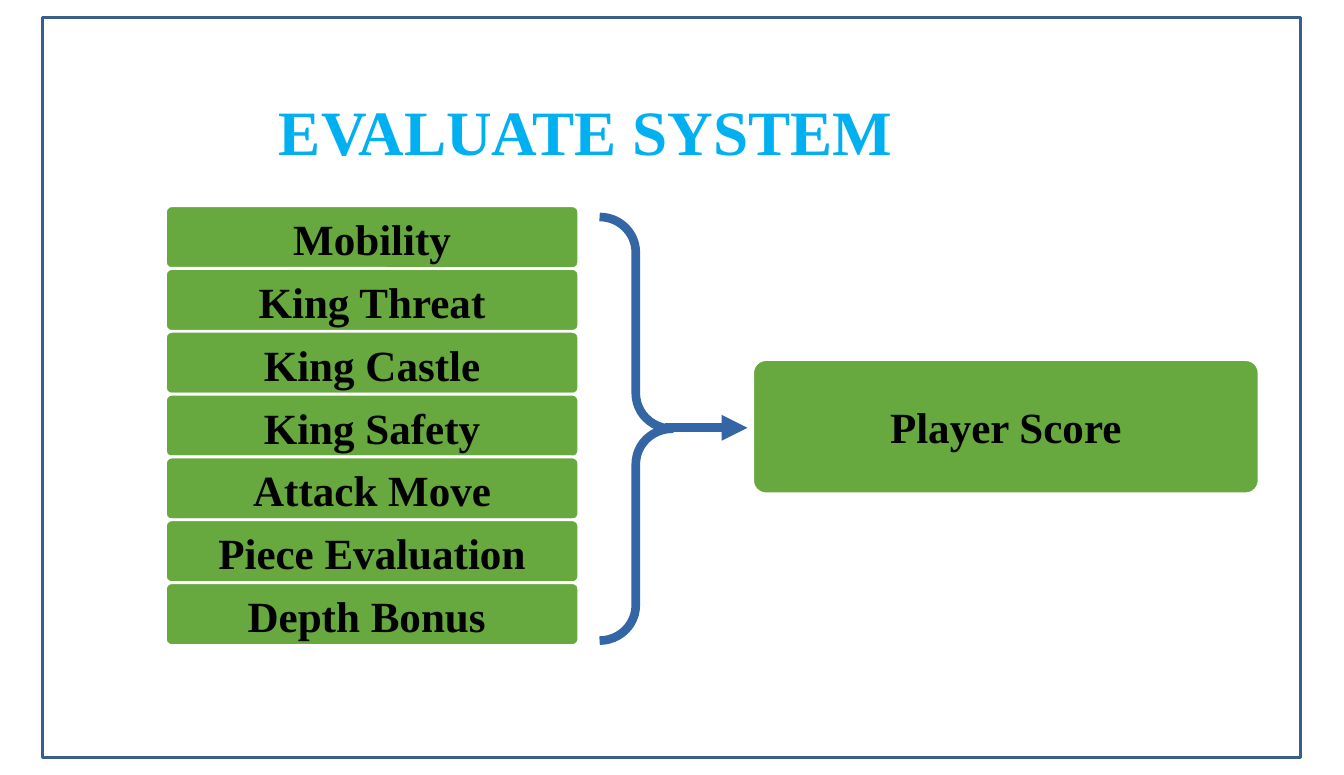
import pptx
import pptx.dml.color
import pptx.enum.dml
import pptx.enum.shapes
import pptx.enum.text
import pptx.oxml
import pptx.oxml.ns
import pptx.util

Inches = pptx.util.Inches
RGBColor = pptx.dml.color.RGBColor
Shape = pptx.enum.shapes.MSO_SHAPE
Anchor = pptx.enum.text.MSO_ANCHOR
Align = pptx.enum.text.PP_ALIGN

TITLE = "EVALUATE SYSTEM"
FACTORS = ["Mobility", "King Threat", "King Castle", "King Safety",
           "Attack Move", "Piece Evaluation", "Depth Bonus "]
RESULT = "Player Score"

FONT = "Times New Roman"
SKY = RGBColor(0x00, 0xB0, 0xF0)
GREEN = RGBColor(0x67, 0xA8, 0x3F)
NAVY = RGBColor(0x39, 0x5E, 0x89)
BLUE = RGBColor(0x34, 0x65, 0xA4)
BLACK = RGBColor(0, 0, 0)
WHITE = RGBColor(0xFF, 0xFF, 0xFF)

WIDTH, HEIGHT = 13, 7.5
FRAME = (0.41, 0.17, 12.17, 7.16)
TITLE_AREA = (2.6, 0.84, 7.6, 0.77)
LIST_LEFT, LIST_TOP, LIST_WIDTH = 1.6, 1.99, 4
ROW_HEIGHT, ROW_STEP = 0.61, 0.608
BRACE = (5.8, 2.1, 0.7, 4.1)
ARROW = (6.43, 4.14, 7.23, 4.14)
RESULT_AREA = (7.28, 3.48, 4.9, 1.3)


def add_outline(page, kind, area, fill, line, weight):
    shape = page.shapes.add_shape(kind, *map(Inches, area))
    shape.shadow.inherit = False
    if fill is None:
        shape.fill.background()
    else:
        shape.fill.solid()
        shape.fill.fore_color.rgb = fill
    shape.line.color.rgb = line
    shape.line.width = pptx.util.Pt(weight)
    return shape


def write(shape, text, size, color, align, anchor):
    frame = shape.text_frame
    frame.word_wrap = True
    frame.vertical_anchor = anchor
    frame.text = text
    para = frame.paragraphs[0]
    para.alignment = align
    font = para.runs[0].font
    font.name, font.size, font.bold = FONT, pptx.util.Pt(size), True
    font.color.rgb = color


def add_card(page, area, text, anchor):
    card = add_outline(page, Shape.ROUNDED_RECTANGLE, area, GREEN, WHITE, 2)
    card.adjustments[0] = 0.1
    write(card, text, 30, BLACK, Align.CENTER, anchor)


def add_arrow(page, ends):
    arrow = page.shapes.add_connector(
        pptx.enum.shapes.MSO_CONNECTOR.STRAIGHT, *map(Inches, ends))
    arrow.line.color.rgb = BLUE
    arrow.line.width = pptx.util.Pt(6)
    namespace = pptx.oxml.ns.nsdecls("a")
    arrow.line._get_or_add_ln().append(
        pptx.oxml.parse_xml(f'<a:tailEnd {namespace} type="triangle"/>'))
    arrow._element.spPr.append(
        pptx.oxml.parse_xml(f"<a:effectLst {namespace}/>"))


def main():
    deck = pptx.Presentation()
    deck.slide_width, deck.slide_height = Inches(WIDTH), Inches(HEIGHT)
    page = deck.slides.add_slide(deck.slide_layouts[6])

    add_outline(page, Shape.RECTANGLE, FRAME, None, NAVY, 2)
    title = page.shapes.add_textbox(*map(Inches, TITLE_AREA))
    write(title, TITLE, 44, SKY, Align.LEFT, Anchor.TOP)

    for row, factor in enumerate(FACTORS):
        top = LIST_TOP + row * ROW_STEP
        add_card(page, (LIST_LEFT, top, LIST_WIDTH, ROW_HEIGHT), factor, Anchor.TOP)

    add_arrow(page, ARROW)
    brace = add_outline(page, Shape.RIGHT_BRACE, BRACE, None, BLUE, 6)
    brace.adjustments[0] = 0.49
    brace.adjustments[1] = 0.5
    add_card(page, RESULT_AREA, RESULT, Anchor.MIDDLE)

    deck.save("out.pptx")


if __name__ == "__main__":
    main()
